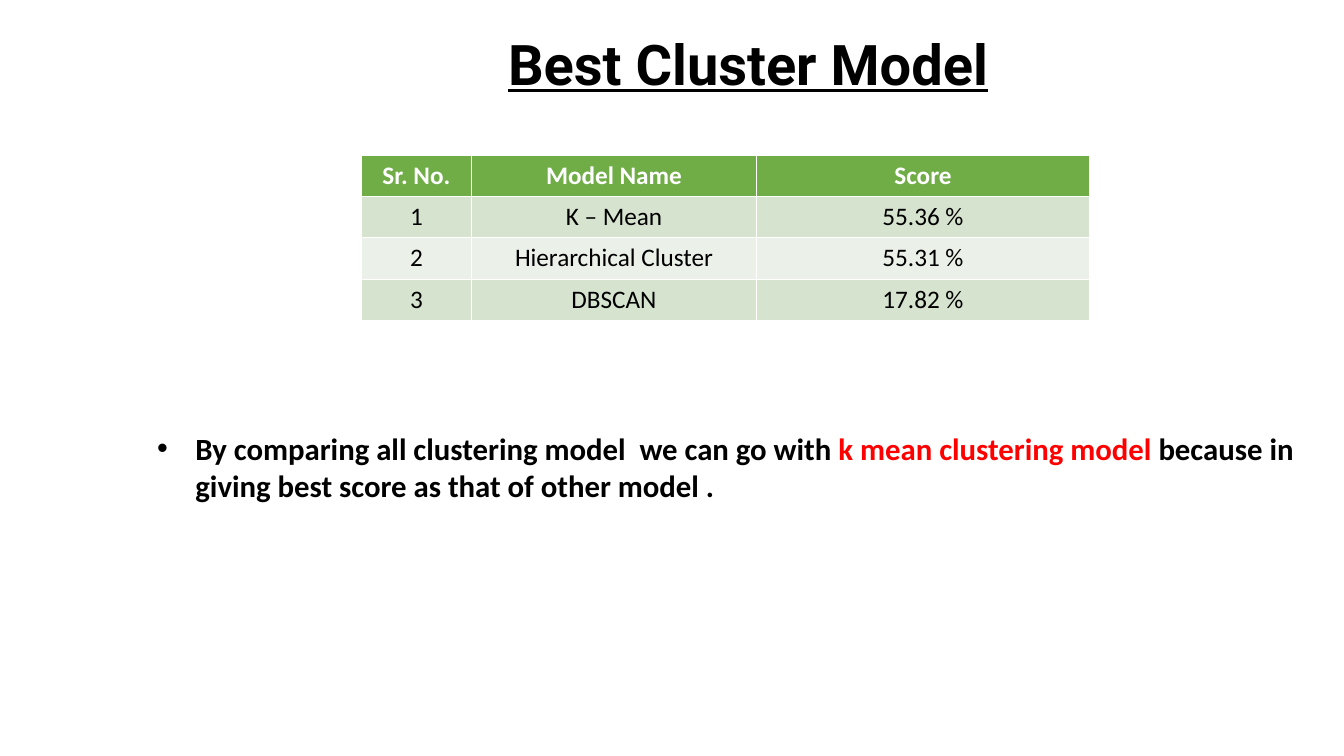
from pptx import Presentation
from pptx.dml.color import RGBColor as Color
from pptx.enum.text import MSO_AUTO_SIZE as AutoSize, PP_ALIGN as Align
from pptx.oxml.ns import qn
from pptx.util import Inches, Pt

TITLE = "Best Cluster Model"
SCORES = [
    ("Sr. No.", "Model Name", "Score"),
    ("1", "K – Mean", "55.36 %"),
    ("2", "Hierarchical Cluster", "55.31 %"),
    ("3", "DBSCAN", "17.82 %"),
]
CONCLUSION = [  # text, colour name
    ("By comparing all clustering model  we can go with", "ink"),
    (" k mean clustering model ", "accent"),
    ("because in giving best score as that of other model .", "ink"),
]

THEME = {
    "ink": "000000", "accent": "FF0000", "header_ink": "FFFFFF",
    "header": "70AD47", "bands": ("D5E3CF", "EBF1E9"),
    "title_font": "Roboto", "body_font": "Calibri",
    "title_size": 40, "body_size": 22, "table_size": 18,
}
SLIDE_SIZE = (13.33, 7.5)
TITLE_AREA = (4.94, 0.24, 5.35, 0.77)
CONCLUSION_AREA = (1.46, 4.21, 11.48, 0.84)
TABLE_ORIGIN = (3.58, 1.54)
COLUMN_WIDTHS = (1.1, 2.82, 3.31)
ROW_HEIGHT = 0.41
BULLET_INDENT = 0.38


def style_span(span, font, size, color, bold=True):
    """Set the font, size, colour and weight of a run."""
    span.font.name = font
    span.font.size = Pt(size)
    span.font.bold = bold
    span.font.color.rgb = Color.from_string(color)


def add_text(slide, area, pieces, font, size):
    """Add a wrapping text box of coloured pieces; return its paragraph."""
    box = slide.shapes.add_textbox(*map(Inches, area))
    frame = box.text_frame
    frame.word_wrap = True
    frame.auto_size = AutoSize.SHAPE_TO_FIT_TEXT
    para = frame.paragraphs[0]
    for text, color in pieces:
        span = para.add_run()
        span.text = text
        style_span(span, font, size, THEME[color])
    return para


def add_bullet(para):
    """Give a paragraph a round bullet with a hanging indent."""
    props = para._p.get_or_add_pPr()
    indent = Inches(BULLET_INDENT)
    props.set("marL", str(indent))
    props.set("indent", str(-indent))
    font = props.makeelement(qn("a:buFont"), {"typeface": "Arial"})
    mark = props.makeelement(qn("a:buChar"), {"char": "•"})
    props.extend([font, mark])


def add_scores(slide):
    """Add the score table with a header row and alternating bands."""
    size = (sum(COLUMN_WIDTHS), ROW_HEIGHT * len(SCORES))
    table = slide.shapes.add_table(
        len(SCORES), len(COLUMN_WIDTHS), *map(Inches, TABLE_ORIGIN + size)
    ).table
    for column, width in zip(table.columns, COLUMN_WIDTHS):
        column.width = Inches(width)
    for index, (row, texts) in enumerate(zip(table.rows, SCORES)):
        row.height = Inches(ROW_HEIGHT)
        is_header = index == 0
        fill = THEME["header"] if is_header else THEME["bands"][(index - 1) % 2]
        ink = THEME["header_ink" if is_header else "ink"]
        for cell, text in zip(row.cells, texts):
            cell.fill.solid()
            cell.fill.fore_color.rgb = Color.from_string(fill)
            para = cell.text_frame.paragraphs[0]
            para.text = text
            para.alignment = Align.CENTER
            style_span(para.runs[0], THEME["body_font"], THEME["table_size"],
                       ink, is_header)


def main():
    """Build the slide and save the deck."""
    deck = Presentation()
    deck.slide_width, deck.slide_height = map(Inches, SLIDE_SIZE)
    slide = deck.slides.add_slide(deck.slide_layouts[6])
    title = add_text(slide, TITLE_AREA, [(TITLE, "ink")],
                     THEME["title_font"], THEME["title_size"])
    title.runs[0].font.underline = True
    conclusion = add_text(slide, CONCLUSION_AREA, CONCLUSION,
                          THEME["body_font"], THEME["body_size"])
    add_bullet(conclusion)
    add_scores(slide)
    deck.save("out.pptx")


main()
